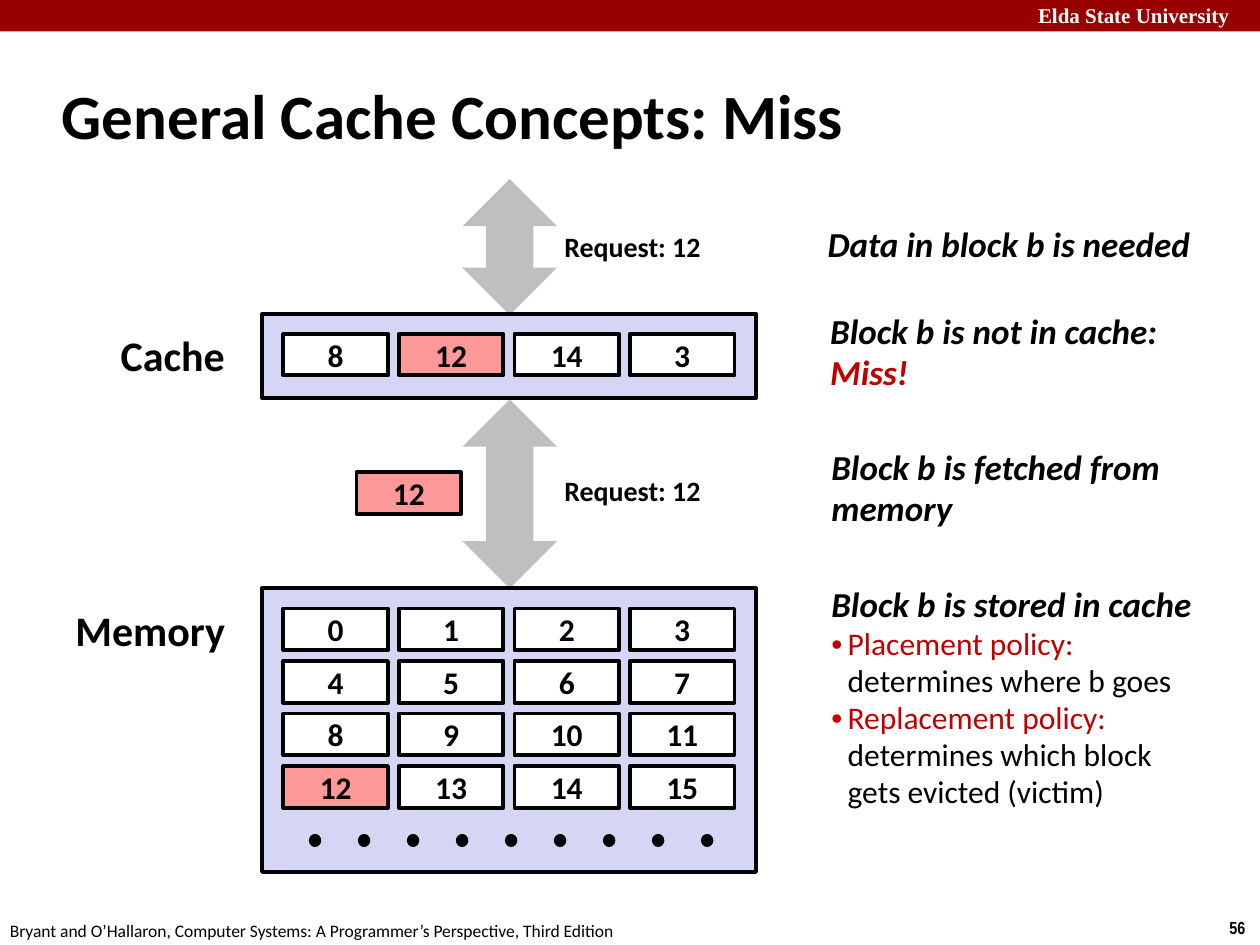
from lxml.etree import SubElement
from pptx import Presentation
from pptx.dml.color import RGBColor
from pptx.enum.shapes import MSO_CONNECTOR as CONNECTOR, MSO_SHAPE as SHAPE
from pptx.enum.text import MSO_ANCHOR as ANCHOR, PP_ALIGN as ALIGN
from pptx.oxml.ns import qn
from pptx.util import Inches, Pt

BLACK, WHITE, RED = "000000", "FFFFFF", "C00000"
BANNER, PANEL, ARROW, HIGHLIGHT = "990000", "D5D5F4", "BFBFBF", "FF9999"

TITLE = "General Cache Concepts: Miss"
CACHE = [[8, 12, 14, 3]]
MEMORY = [[0, 1, 2, 3], [4, 5, 6, 7], [8, 9, 10, 11], [12, 13, 14, 15]]
REQUESTED = 12
ARROWS = [(3.67, 1.42, 0.75, 1.08), (3.67, 3.17, 0.75, 1.5)]
PANELS = [(2.08, 4.67, 3.92, 2.25), (2.08, 2.49, 3.92, 0.67)]

MASTER_TEXTS = [
    ("Elda State University", (8.14, -0.03, 1.93, 0.3),
     dict(size=12, font="Times New Roman", color=WHITE, bold=True)),
    ("56", (9.66, 7.23, 0.34, 0.27), dict(size=10, font="Arial Narrow", bold=True)),
    ("Bryant and O’Hallaron, Computer Systems: A Programmer’s Perspective, Third Edition",
     (-0.02, 7.25, 5.08, 0.27), dict(size=10)),
]
LABELS = [
    ("Cache", (0.86, 2.57, 1.04, 0.5), dict(size=24, bold=True)),
    ("Memory", (0.5, 4.75, 1.4, 0.5), dict(size=24, bold=True)),
    ("Request: 12", (4.37, 1.77, 1.3, 0.37), dict(size=16, bold=True, align=ALIGN.CENTER)),
    ("Request: 12", (4.37, 3.71, 1.3, 0.37), dict(size=16, bold=True, align=ALIGN.CENTER)),
]
STEP = dict(size=20, bold=True, italic=True, spacing=0.98)
STEPS = [
    ((6.47, 1.73, 3.09, 0.43), [("Data in block b is needed", BLACK)], []),
    ((6.49, 2.42, 2.81, 0.76), [("Block b is not in cache:", BLACK), ("Miss!", RED)], []),
    ((6.5, 3.5, 2.83, 0.76), [("Block b is fetched from", BLACK), ("memory", BLACK)], []),
    ((6.5, 4.58, 3.07, 1.92), [("Block b is stored in cache", BLACK)], [
        ("Placement policy:", ["determines where b goes"]),
        ("Replacement policy:", ["determines which block", "gets evicted (victim)"]),
    ]),
]

GRID_LEFT, CELL_WIDTH, CELL_HEIGHT = 2.25, 0.83, 0.33
COLUMN_STEP, ROW_STEP = 2.75 / 3, 1.25 / 3


def rgb(color):
    return RGBColor.from_string(color)


def box(place):
    return [Inches(length) for length in place]


def add_text(paragraph, text, size=18, font="Calibri", color=BLACK, bold=False,
             italic=False, align=ALIGN.LEFT, spacing=None):
    paragraph.alignment = align
    if spacing:
        paragraph.line_spacing = spacing
    run = paragraph.add_run()
    run.text = text
    run.font.size = Pt(size)
    run.font.name = font
    run.font.color.rgb = rgb(color)
    run.font.bold = bold
    run.font.italic = italic


def add_shape(slide, kind, place, fill, outlined=True):
    shape = slide.shapes.add_shape(kind, *box(place))
    shape.shadow.inherit = False
    shape.fill.solid()
    shape.fill.fore_color.rgb = rgb(fill)
    if outlined:
        shape.line.color.rgb = rgb(BLACK)
        shape.line.width = Pt(2.25)
    else:
        shape.line.fill.background()
    return shape


def add_text_frame(slide, place, anchor=ANCHOR.TOP):
    frame = slide.shapes.add_textbox(*box(place)).text_frame
    frame.word_wrap = False
    frame.vertical_anchor = anchor
    return frame


def add_label(slide, text, place, style):
    add_text(add_text_frame(slide, place).paragraphs[0], text, **style)


def add_block(slide, number, left, top):
    fill = HIGHLIGHT if number == REQUESTED else WHITE
    block = add_shape(slide, SHAPE.RECTANGLE, (left, top, CELL_WIDTH, CELL_HEIGHT), fill)
    block.text_frame.vertical_anchor = ANCHOR.MIDDLE
    add_text(block.text_frame.paragraphs[0], str(number), bold=True, align=ALIGN.CENTER)


def add_grid(slide, rows, top):
    for row, numbers in enumerate(rows):
        for column, number in enumerate(numbers):
            add_block(slide, number, GRID_LEFT + column * COLUMN_STEP, top + row * ROW_STEP)


def add_bullet(paragraph, color):
    properties = paragraph._p.get_or_add_pPr()
    properties.set("marL", str(Inches(0.13)))
    properties.set("indent", str(Inches(-0.13)))
    bullet_color = SubElement(properties, qn("a:buClr"))
    SubElement(bullet_color, qn("a:srgbClr"), val=color)
    SubElement(properties, qn("a:buFont"), typeface="Arial")
    SubElement(properties, qn("a:buChar"), char="•")


def add_step(slide, place, headings, policies):
    frame = add_text_frame(slide, place, ANCHOR.MIDDLE)
    for index, (text, color) in enumerate(headings):
        paragraph = frame.add_paragraph() if index else frame.paragraphs[0]
        add_text(paragraph, text, color=color, **STEP)
    for name, lines in policies:
        paragraph = frame.add_paragraph()
        add_text(paragraph, name, color=RED, spacing=0.98)
        for line in lines:
            paragraph.add_line_break()
            add_text(paragraph, line, spacing=0.98)
        add_bullet(paragraph, RED)


def add_dots(slide, left, right, y):
    dots = slide.shapes.add_connector(CONNECTOR.STRAIGHT, *box((left, y, right, y)))
    dots.line.color.rgb = rgb(BLACK)
    dots.line.width = Pt(7)
    line = dots.line._get_or_add_ln()
    line.set("cap", "rnd")
    SubElement(line, qn("a:prstDash"), val="dot")
    SubElement(dots._element.spPr, qn("a:effectLst"))


def main():
    presentation = Presentation()
    presentation.slide_width, presentation.slide_height = Inches(10), Inches(7.5)
    slide = presentation.slides.add_slide(presentation.slide_layouts[5])

    title = slide.shapes.title
    title.left, title.top, title.width, title.height = box((0.39, 0.49, 8.3, 0.83))
    title.text_frame.vertical_anchor = ANCHOR.MIDDLE
    add_text(title.text_frame.paragraphs[0], TITLE, size=36, bold=True)

    add_shape(slide, SHAPE.RECTANGLE, (0, 0, 10, 0.25), BANNER, outlined=False)
    for place in ARROWS:
        add_shape(slide, SHAPE.UP_DOWN_ARROW, place, ARROW, outlined=False)
    for place in PANELS:
        add_shape(slide, SHAPE.RECTANGLE, place, PANEL)
    add_grid(slide, MEMORY, 4.83)
    add_dots(slide, 2.5, 5.83, 6.67)
    add_grid(slide, CACHE, 2.65)
    add_block(slide, REQUESTED, 2.83, 3.75)
    for text, place, style in MASTER_TEXTS + LABELS:
        add_label(slide, text, place, style)
    for place, headings, policies in STEPS:
        add_step(slide, place, headings, policies)

    presentation.save("out.pptx")


if __name__ == "__main__":
    main()
